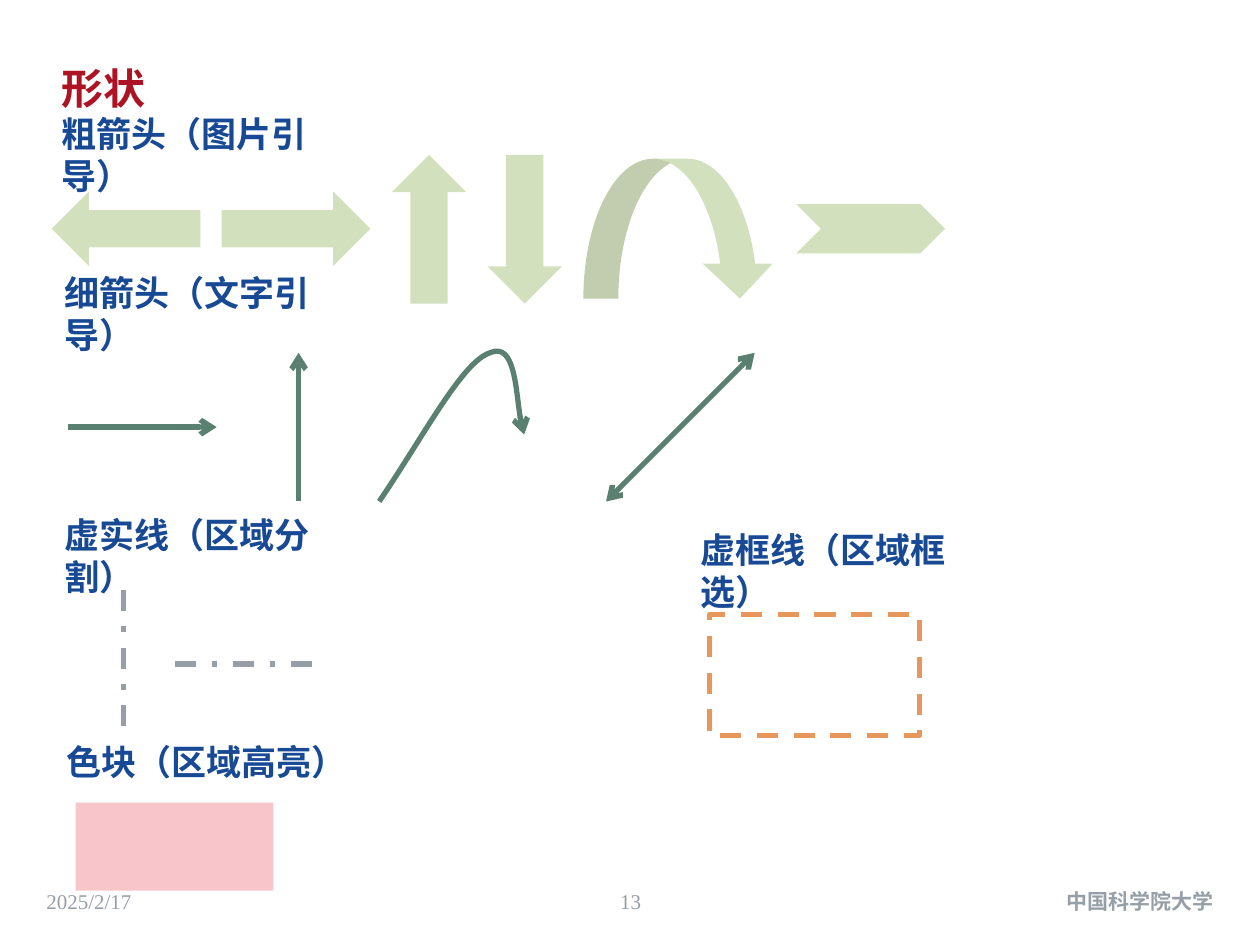
from lxml import etree
from pptx import Presentation
from pptx.dml.color import RGBColor
from pptx.enum.dml import MSO_LINE
from pptx.enum.shapes import MSO_CONNECTOR, MSO_SHAPE
from pptx.enum.text import MSO_ANCHOR, MSO_AUTO_SIZE, PP_ALIGN
from pptx.oxml.ns import qn
from pptx.util import Inches, Pt

COLUMNS, ROWS = 100, 75
CELL = Inches(0.1)
SPAN = 11.8  # length of an arrow or rule, in cells
HALF = SPAN / 2

SERIF, SANS = "Times New Roman", "Noto Sans CJK SC"
RED, BLUE, GRAY = "AE1324", "174994", "969FA7"
GREEN, TEAL, ORANGE, PINK = "A9C37C", "5A8071", "E8975C", "F38D98"
LINE_WIDTH = Pt(3)

LEFT, CENTER, RIGHT = PP_ALIGN.LEFT, PP_ALIGN.CENTER, PP_ALIGN.RIGHT
STRAIGHT = MSO_CONNECTOR.STRAIGHT
RECTANGLE = MSO_SHAPE.RECTANGLE
DASH, DASH_DOT = MSO_LINE.DASH, MSO_LINE.DASH_DOT


def cells(*counts):
    return [round(count * CELL) for count in counts]


def color(value):
    return RGBColor.from_string(value)


def add_text(page, box, text, size, tone, font=SERIF, bold=False, align=LEFT):
    frame = page.shapes.add_textbox(*cells(*box)).text_frame
    frame.word_wrap = True
    frame.vertical_anchor = MSO_ANCHOR.MIDDLE
    para = frame.paragraphs[0]
    para.alignment = align
    span = para.add_run()
    span.text = text
    span.font.size = Pt(size)
    span.font.bold = bold
    span.font.name = font
    span.font.color.rgb = color(tone)
    etree.SubElement(span._r.get_or_add_rPr(), qn("a:ea"), typeface=SANS)
    return frame


def add_heading(page, left, top, text, width=24.8):
    frame = add_text(page, (left, top, width, 4.4), text, 20, BLUE, SANS, True)
    frame.auto_size = MSO_AUTO_SIZE.SHAPE_TO_FIT_TEXT
    frame.paragraphs[0].space_after = Pt(6)


def add_tinted_shape(page, kind, box, tone):
    """Add a preset shape with a half-transparent fill and no outline."""
    shape = page.shapes.add_shape(kind, *cells(*box))
    shape.shadow.inherit = False
    shape.fill.solid()
    shape.fill.fore_color.rgb = color(tone)
    fill = shape._element.spPr.find(qn("a:solidFill"))
    etree.SubElement(fill[0], qn("a:alpha"), val="50000")
    shape.line.fill.background()


def style_line(line, tone, dash=None):
    line.color.rgb = color(tone)
    line.width = LINE_WIDTH
    if dash:
        line.dash_style = dash


def add_arrowheads(shape, *ends):
    outline = shape.line._get_or_add_ln()
    for end in ends:
        etree.SubElement(outline, qn("a:" + end), type="arrow")


def add_line(page, start, finish, tone, dash=None):
    line = page.shapes.add_connector(STRAIGHT, *cells(*start, *finish))
    style_line(line.line, tone, dash)
    etree.SubElement(line._element.spPr, qn("a:effectLst"))
    return line


def add_curve(page, start, points):
    """Draw an open curve; each three points are one cubic Bezier segment."""
    builder = page.shapes.build_freeform(*cells(*start))
    builder.add_line_segments([cells(*point) for point in points], close=False)
    curve = builder.convert_to_shape()
    curve.shadow.inherit = False
    curve.fill.background()
    style_line(curve.line, TEAL)
    outline = next(curve._element.iter(qn("a:path")))
    steps = outline.findall(qn("a:lnTo"))
    for first in range(0, len(steps), 3):
        segment = etree.SubElement(outline, qn("a:cubicBezTo"))
        for step in steps[first:first + 3]:
            segment.append(step[0])
            outline.remove(step)
    return curve


def thick_arrows(page, left, top):
    arrows = [
        (MSO_SHAPE.LEFT_ARROW, 0, 2.9, SPAN, HALF),
        (MSO_SHAPE.RIGHT_ARROW, 13.5, 2.9, SPAN, HALF),
        (MSO_SHAPE.UP_ARROW, 27, 0, HALF, SPAN),
        (MSO_SHAPE.DOWN_ARROW, 34.6, 0, HALF, SPAN),
        (MSO_SHAPE.CURVED_DOWN_ARROW, 42.2, 0.3, 15.2, 11.1),
        (MSO_SHAPE.CHEVRON, 59.1, 3.9, SPAN, 3.9),
    ]
    for kind, x, y, width, height in arrows:
        add_tinted_shape(page, kind, (left + x, top + y, width, height), GREEN)
    add_heading(page, left - 0.2, top - 2.2, "粗箭头（图片引导）", 26)


def thin_arrows(page, left, top):
    middle, bottom = top + HALF, top + SPAN
    across = add_line(page, (left, middle), (left + SPAN, middle), TEAL)
    add_arrowheads(across, "tailEnd")
    upright = add_line(page, (left + 18.3, bottom), (left + 18.3, top), TEAL)
    add_arrowheads(upright, "tailEnd")
    bends = [(28.3, 6.5), (31.3, 0.7), (33.5, 0),
             (35.5, -0.9), (35.7, 5.4), (36.2, 6.5)]
    curve = add_curve(page, (left + 24.7, bottom),
                      [(left + x, top + y) for x, y in bends])
    add_arrowheads(curve, "tailEnd")
    diagonal = add_line(page, (left + 42.7, bottom),
                        (left + 42.7 + SPAN, top), TEAL)
    add_arrowheads(diagonal, "headEnd", "tailEnd")
    add_heading(page, left - 1.3, top - 5.3, "细箭头（文字引导）")


def dividers(page, left, top):
    middle = top + HALF
    add_line(page, (left, top), (left, top + SPAN), GRAY, DASH_DOT)
    add_line(page, (left + 4.1, middle), (left + 4.1 + SPAN, middle),
             GRAY, DASH_DOT)
    add_heading(page, left - 5.7, top - 4.9, "虚实线（区域分割）")


def dashed_frame(page, left, top):
    frame = page.shapes.add_shape(RECTANGLE, *cells(left, top, 16.7, 9.6))
    frame.shadow.inherit = False
    frame.fill.background()
    style_line(frame.line, ORANGE, DASH)
    add_heading(page, left - 1.7, top - 5.7, "虚框线（区域框选）")


def color_block(page, left, top):
    add_tinted_shape(page, RECTANGLE, (left, top, 15.7, 7), PINK)
    add_heading(page, left - 1.7, top - 5.5, "色块（区域高亮）")


def footer(page, top):
    height = 4
    add_text(page, (2.7, top, 23.6, height), "2025/2/17", 12, GRAY)
    add_text(page, (39.2, top, 21.7, height), "13", 12, GRAY, align=CENTER)
    add_text(page, (65.9, top, 31.4, height), "中国科学院大学", 12, GRAY,
             bold=True, align=RIGHT)


def main():
    deck = Presentation()
    deck.slide_width, deck.slide_height = cells(COLUMNS, ROWS)
    page = deck.slides.add_slide(deck.slide_layouts[6])
    footer(page, 69.5)
    add_text(page, (3.9, 3, 42.5, 7.9), "形状", 24, RED, bold=True)
    thick_arrows(page, 4.1, 12.3)
    thin_arrows(page, 5.4, 28)
    dividers(page, 9.8, 46.8)
    dashed_frame(page, 56.3, 48.8)
    color_block(page, 6, 63.7)
    deck.save("out.pptx")


if __name__ == "__main__":
    main()
